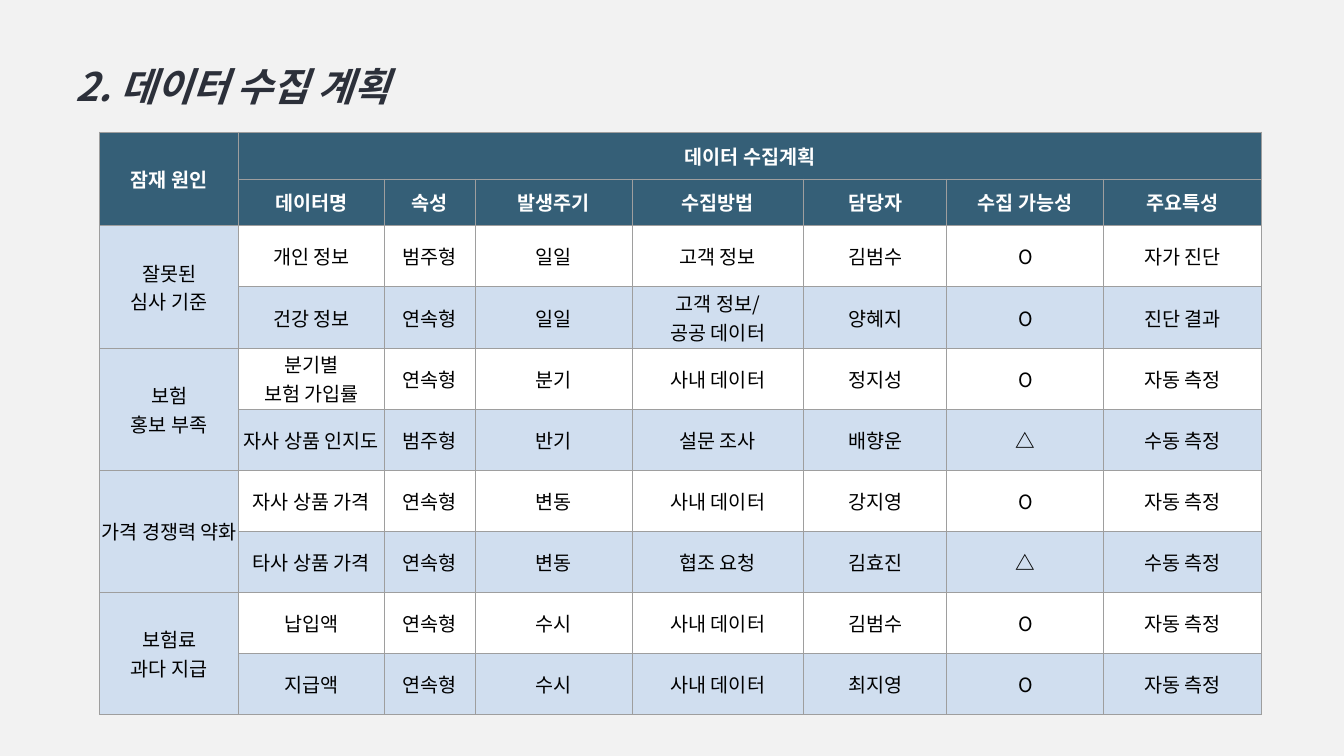
"""Build the data collection plan slide."""
from lxml.etree import SubElement
from pptx import Presentation
from pptx.dml.color import RGBColor
from pptx.enum.text import MSO_ANCHOR, PP_ALIGN
from pptx.oxml import parse_xml
from pptx.oxml.ns import nsdecls, qn
from pptx.util import Cm, Pt

FONT = "Noto Sans CJK KR"
BACKGROUND = RGBColor(0xF2, 0xF2, 0xF2)
TITLE = RGBColor(0x2C, 0x30, 0x3A)
HEADER = RGBColor(0x35, 0x5F, 0x77)
BAND = RGBColor(0xD0, 0xDE, 0xEF)
WHITE = RGBColor(0xFF, 0xFF, 0xFF)
BLACK = RGBColor(0x00, 0x00, 0x00)
BORDER = RGBColor(0x9E, 0x9E, 0x9E)

COLUMN_WIDTHS = [3.51, 3.66, 2.29, 3.96, 4.32, 3.61, 3.96, 3.96]
HEADER_HEIGHT, BODY_HEIGHT = 1.18, 1.54
HEADER_ROWS = 2
ROWS = [
    ["잠재 원인", "데이터 수집계획", "", "", "", "", "", ""],
    ["", "데이터명", "속성", "발생주기", "수집방법", "담당자", "수집 가능성", "주요특성"],
    ["잘못된\n심사 기준", "개인 정보", "범주형", "일일", "고객 정보", "김범수", "O", "자가 진단"],
    ["", "건강 정보", "연속형", "일일", "고객 정보/\n공공 데이터", "양혜지", "O", "진단 결과"],
    ["보험\n홍보 부족", "분기별\n보험 가입률", "연속형", "분기", "사내 데이터", "정지성", "O", "자동 측정"],
    ["", "자사 상품 인지도", "범주형", "반기", "설문 조사", "배향운", "△", "수동 측정"],
    ["가격 경쟁력 약화", "자사 상품 가격", "연속형", "변동", "사내 데이터", "강지영", "O", "자동 측정"],
    ["", "타사 상품 가격", "연속형", "변동", "협조 요청", "김효진", "△", "수동 측정"],
    ["보험료\n과다 지급", "납입액", "연속형", "수시", "사내 데이터", "김범수", "O", "자동 측정"],
    ["", "지급액", "연속형", "수시", "사내 데이터", "최지영", "O", "자동 측정"],
]


def write(tf, text, size, color, bold=False, italic=False, align=PP_ALIGN.LEFT, spacing=None):
    for i, line in enumerate(text.split("\n")):
        p = tf.paragraphs[0] if i == 0 else tf.add_paragraph()
        p.alignment = align
        p.line_spacing = spacing
        r = p.add_run()
        r.text = line
        r.font.size = Pt(size)
        r.font.bold = bold
        r.font.italic = italic
        r.font.color.rgb = color
        r.font.name = FONT
        SubElement(r.font._element, qn("a:ea"), typeface=FONT)


prs = Presentation()
prs.slide_width, prs.slide_height = Cm(33.87), Cm(19.05)
s = prs.slides.add_slide(prs.slide_layouts[6])
s.background.fill.solid()
s.background.fill.fore_color.rgb = BACKGROUND

sp = s.shapes.add_textbox(Cm(1.65), Cm(0.51), Cm(16.94), Cm(2.69))
tf = sp.text_frame
tf.word_wrap = True
tf.vertical_anchor = MSO_ANCHOR.MIDDLE
write(tf, "2. 데이터 수집 계획", 28, TITLE, bold=True, italic=True, spacing=1.5)

heights = [HEADER_HEIGHT if i < HEADER_ROWS else BODY_HEIGHT for i in range(len(ROWS))]
frame = s.shapes.add_table(len(ROWS), len(COLUMN_WIDTHS), Cm(2.51), Cm(3.33),
                           Cm(sum(COLUMN_WIDTHS)), Cm(sum(heights)))
table = frame.table
for column, width in zip(table.columns, COLUMN_WIDTHS):
    column.width = Cm(width)
for row, height in zip(table.rows, heights):
    row.height = Cm(height)

for i, row in enumerate(ROWS):
    is_header = i < HEADER_ROWS
    for j, text in enumerate(row):
        cell = table.cell(i, j)
        cell.margin_left = cell.margin_right = Cm(0.03)
        cell.margin_top = cell.margin_bottom = Cm(0.03)
        cell.vertical_anchor = MSO_ANCHOR.MIDDLE
        for side in ("lnL", "lnR", "lnT", "lnB"):
            cell._tc.get_or_add_tcPr().append(parse_xml(
                f'<a:{side} {nsdecls("a")} w="{Pt(0.75)}"><a:solidFill>'
                f'<a:srgbClr val="{BORDER}"/></a:solidFill></a:{side}>'))
        cell.fill.solid()
        if is_header:
            cell.fill.fore_color.rgb = HEADER
        else:
            cell.fill.fore_color.rgb = BAND if j == 0 or i % 2 else WHITE
        if text:
            write(cell.text_frame, text, 14, WHITE if is_header else BLACK,
                  bold=is_header or text == "△", align=PP_ALIGN.CENTER)

table.cell(0, 1).merge(table.cell(0, len(COLUMN_WIDTHS) - 1))
for i in range(0, len(ROWS), 2):
    table.cell(i, 0).merge(table.cell(i + 1, 0))

prs.save("out.pptx")
